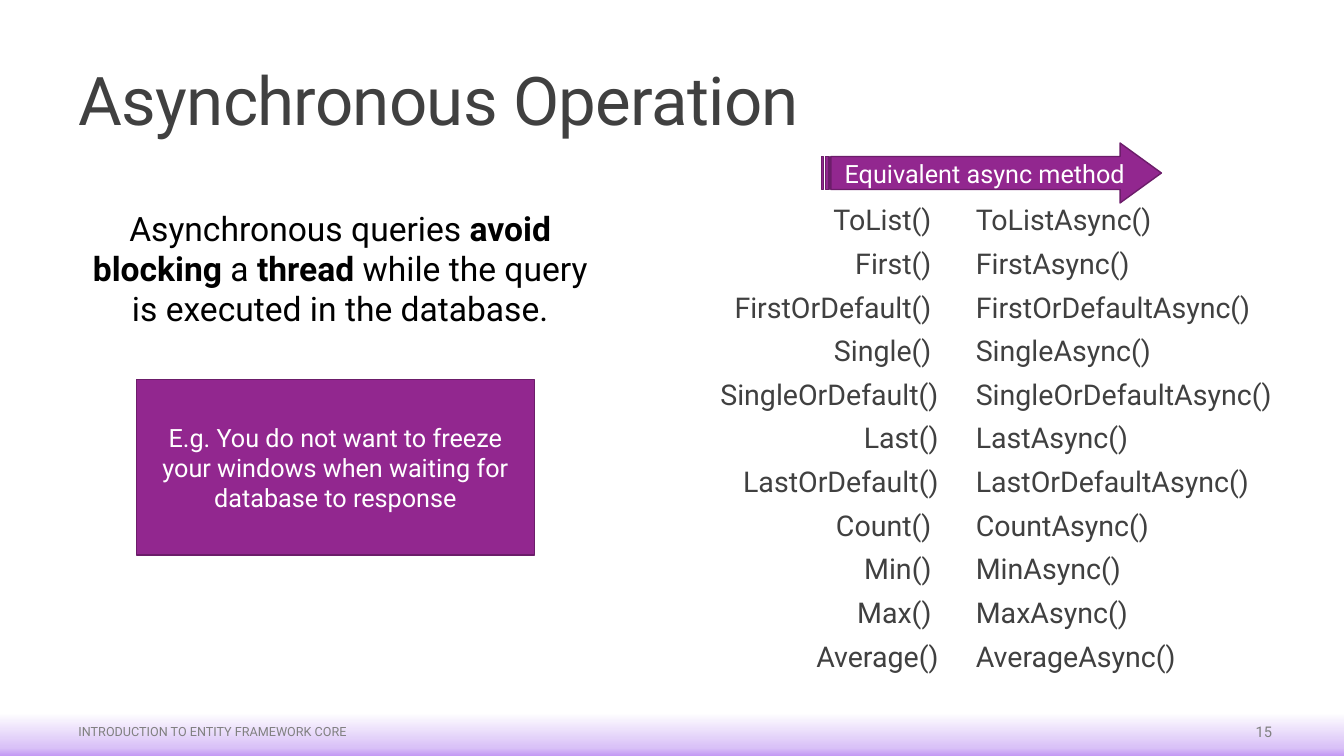
from copy import deepcopy

from lxml.etree import SubElement
from pptx import Presentation
from pptx.dml.color import RGBColor
from pptx.enum.shapes import MSO_SHAPE
from pptx.enum.text import MSO_ANCHOR, MSO_AUTO_SIZE, PP_ALIGN
from pptx.oxml.ns import qn
from pptx.util import Pt

FONT = "Roboto"
COLORS = {
    "purple": "92278F",
    "outline": "6C1D6A",
    "heading": "404040",
    "footer": "808080",
    "black": "000000",
    "white": "FFFFFF",
}
FOOTER_STOPS = [(0, "C399F4"), (0.19, "D9C1F7"), (1, "FFFFFF")]

# The trailing space shifts the right-aligned names
METHODS = [
    "ToList() ", "First() ", "FirstOrDefault() ", "Single() ",
    "SingleOrDefault() ", "Last()", "LastOrDefault()", "Count() ",
    "Min() ", "Max() ", "Average()",
]


def color(name):
    return RGBColor.from_string(COLORS[name])


def place(shape, left, top, width, height):
    shape.left, shape.top = Pt(left), Pt(top)
    shape.width, shape.height = Pt(width), Pt(height)


def style_paragraph(paragraph, size, color_name, alignment=PP_ALIGN.LEFT):
    paragraph.alignment = alignment
    paragraph.font.name = FONT
    paragraph.font.size = Pt(size)
    paragraph.font.color.rgb = color(color_name)


def fill_title(title, text):
    place(title, 49, 36.7, 866, 66.2)
    frame = title.text_frame
    frame.auto_size = MSO_AUTO_SIZE.NONE
    frame.vertical_anchor = MSO_ANCHOR.BOTTOM
    paragraph = frame.paragraphs[0]
    run = paragraph.add_run()
    run.text = text
    run.font._element.set("spc", "-50")
    paragraph.line_spacing = 0.85
    style_paragraph(paragraph, 48, "heading")


def fill_method_list(placeholder, box, methods, alignment):
    place(placeholder, *box)
    frame = placeholder.text_frame
    frame.auto_size = MSO_AUTO_SIZE.NONE
    frame.vertical_anchor = MSO_ANCHOR.TOP
    frame.margin_left = frame.margin_right = 0
    for index, method in enumerate(methods):
        paragraph = frame.add_paragraph() if index else frame.paragraphs[0]
        paragraph.add_run().text = method
        properties = paragraph._p.get_or_add_pPr()
        properties.set("marL", str(Pt(7.2)))
        properties.set("indent", "0")
        SubElement(properties, qn("a:buNone"))
        paragraph.line_spacing = 0.7
        paragraph.space_before = Pt(12 if index else 0)
        paragraph.space_after = Pt(2)
        style_paragraph(paragraph, 20.4, "heading", alignment)


def add_text(slide, box, runs, size, color_name, alignment, anchor):
    """Add a text box; runs are (text, bold) pairs."""
    shape = slide.shapes.add_textbox(*map(Pt, box))
    frame = shape.text_frame
    frame.word_wrap = True
    frame.vertical_anchor = anchor
    paragraph = frame.paragraphs[0]
    for text, bold in runs:
        run = paragraph.add_run()
        run.text = text
        if bold:
            run.font.bold = True
    style_paragraph(paragraph, size, color_name, alignment)


def add_callout(slide, kind, box, text):
    shape = slide.shapes.add_shape(kind, *map(Pt, box))
    shape.shadow.inherit = False
    shape.fill.solid()
    shape.fill.fore_color.rgb = color("purple")
    shape.line.color.rgb = color("outline")
    shape.line.width = Pt(1)
    frame = shape.text_frame
    frame.word_wrap = True
    frame.vertical_anchor = MSO_ANCHOR.MIDDLE
    frame.text = text
    style_paragraph(frame.paragraphs[0], 18, "white", PP_ALIGN.CENTER)
    return shape


def add_footer_band(slide):
    band = slide.shapes.add_shape(
        MSO_SHAPE.RECTANGLE, Pt(0), Pt(509), Pt(960), Pt(31))
    band.shadow.inherit = False
    band.line.fill.background()
    band.fill.gradient()
    band.fill.gradient_angle = 90
    stop_list = band._element.spPr.find(".//" + qn("a:gsLst"))
    stop_list.append(deepcopy(stop_list[-1]))
    for stop, (position, value) in zip(band.fill.gradient_stops, FOOTER_STOPS):
        stop.position = position
        stop.color.rgb = RGBColor.from_string(value)


def main():
    presentation = Presentation()
    presentation.slide_width, presentation.slide_height = Pt(960), Pt(540)
    slide = presentation.slides.add_slide(presentation.slide_layouts[3])
    title, sync_list, async_list = slide.placeholders

    # Footer
    add_footer_band(slide)
    add_text(slide, (49, 508.3, 780.5, 28.8),
             [("INTRODUCTION TO ENTITY FRAMEWORK CORE", False)],
             9, "footer", PP_ALIGN.LEFT, MSO_ANCHOR.MIDDLE)
    add_text(slide, (830, 508.3, 85.7, 28.8), [("15", False)],
             10.5, "footer", PP_ALIGN.RIGHT, MSO_ANCHOR.MIDDLE)

    # Title and method lists
    fill_title(title, "Asynchronous Operation")
    async_methods = [method.strip().replace("()", "Async()")
                     for method in METHODS]
    fill_method_list(sync_list, (505.4, 147.6, 165, 347.8),
                     METHODS, PP_ALIGN.RIGHT)
    fill_method_list(async_list, (689.8, 147.6, 226, 347.8),
                     async_methods, PP_ALIGN.LEFT)

    # Explanation and example
    add_text(slide, (49, 144.7, 388, 94.3),
             [("Asynchronous queries ", False), ("avoid blocking", True),
              (" a ", False), ("thread", True),
              (" while the query is executed in the database.", False)],
             24, "black", PP_ALIGN.CENTER, MSO_ANCHOR.TOP)
    add_callout(slide, MSO_SHAPE.RECTANGLE, (97.6, 271.2, 284, 125.3),
                "E.g. You do not want to freeze your windows when waiting "
                "for database to response")

    # Arrow above the lists
    arrow = add_callout(slide, MSO_SHAPE.STRIPED_RIGHT_ARROW,
                        (586.8, 102.2, 242.8, 42.8),
                        "Equivalent async method")
    arrow.adjustments[0] = 0.55
    arrow.adjustments[1] = 0.69

    presentation.save("out.pptx")


if __name__ == "__main__":
    main()
